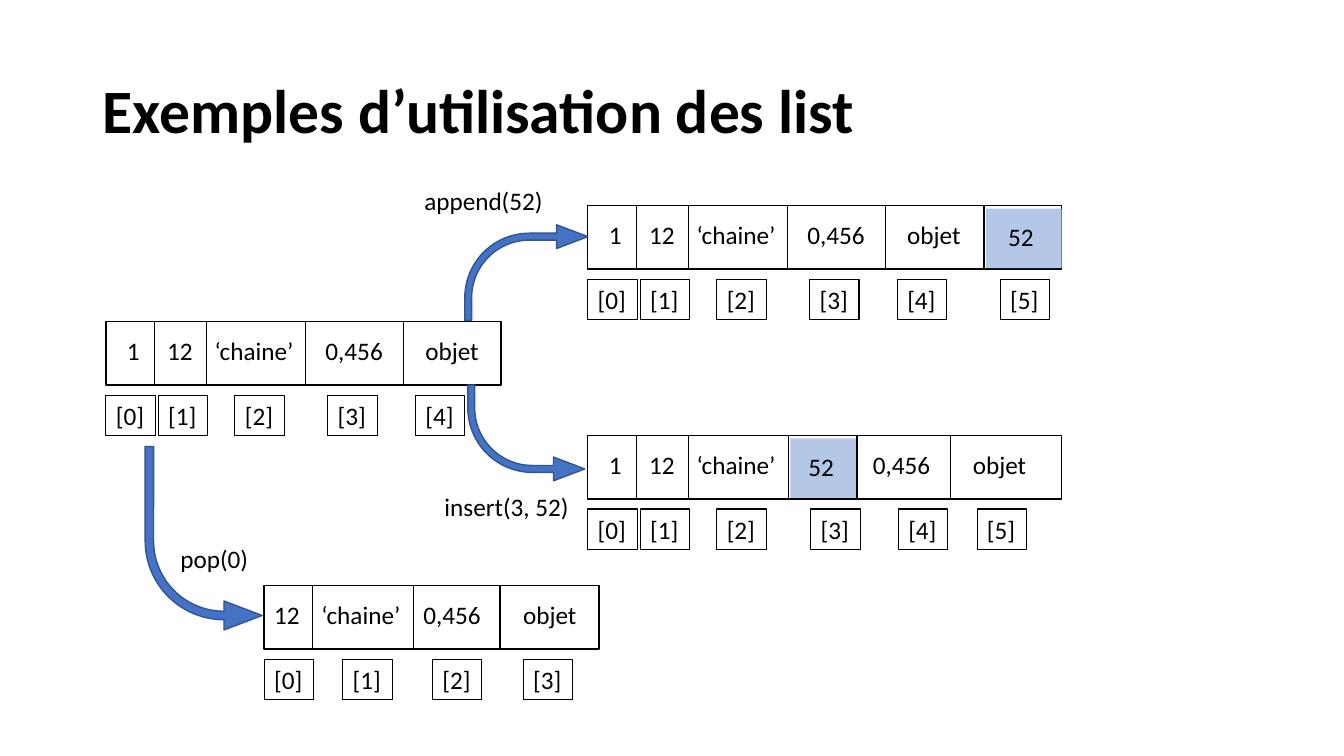
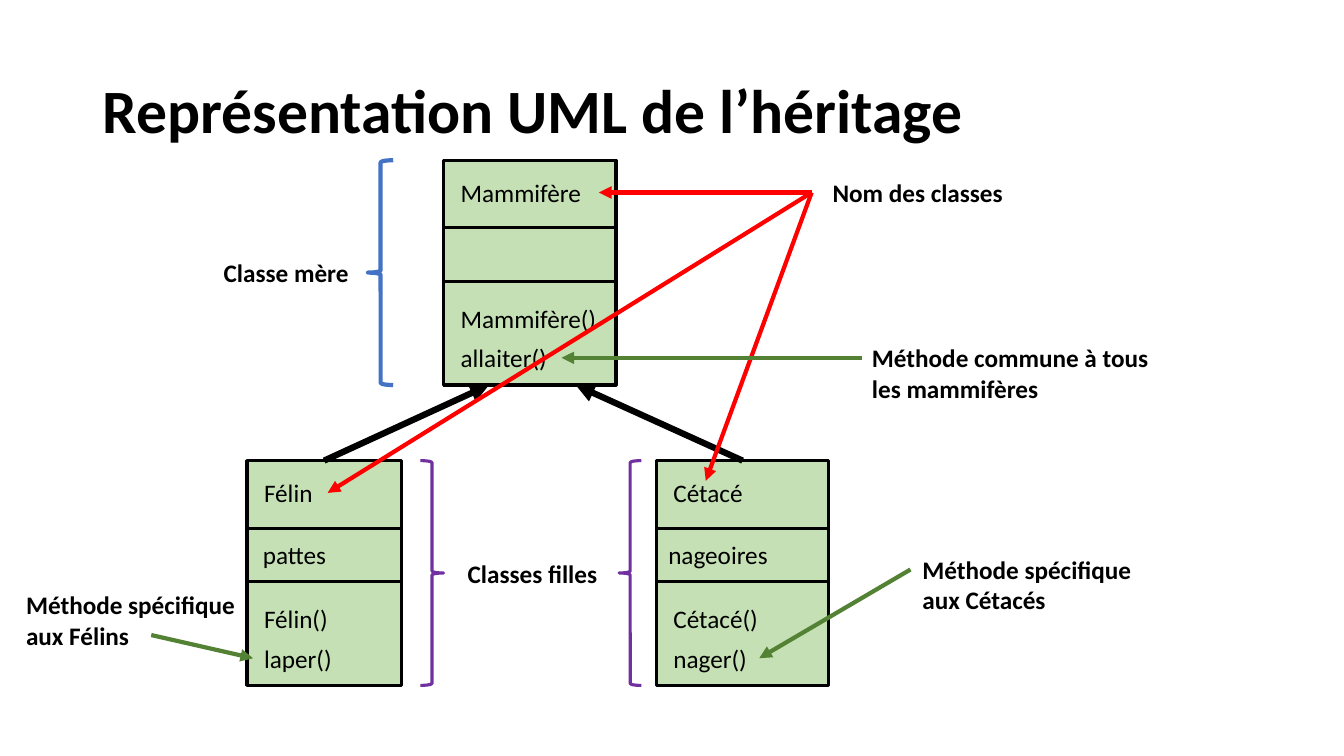
import pptx
import pptx.util
import pptx.dml.color
import pptx.enum.shapes
import pptx.enum.text
import pptx.oxml
import pptx.oxml.ns
import lxml.etree

Inches = pptx.util.Inches
Shapes = pptx.enum.shapes.MSO_SHAPE
FONT = "Calibri"
COLORS = {
    "black": "000000",
    "white": "FFFFFF",
    "blue": "4472C4",
    "dark_blue": "325491",
    "highlight": "B4C7E7",
    "class_fill": "C5E0B4",
    "green": "548235",
    "red": "FF0000",
    "purple": "7030A0",
}


def color(name):
    return pptx.dml.color.RGBColor.from_string(COLORS[name])


def write_text(frame, text, size=18, bold=False, wrap=True):
    frame.word_wrap = wrap
    paragraph = frame.paragraphs[0]
    paragraph.alignment = pptx.enum.text.PP_ALIGN.LEFT
    run = paragraph.add_run()
    run.text = text
    run.font.name = FONT
    run.font.size = pptx.util.Pt(size)
    run.font.bold = bold
    run.font.color.rgb = color("black")
    return paragraph


def add_label(slide, text, left, top, width, height=0.4, **text_format):
    box = slide.shapes.add_textbox(Inches(left), Inches(top), Inches(width), Inches(height))
    write_text(box.text_frame, text, **text_format)


def add_figure(slide, kind, left, top, width, height, fill=None, line=None, weight=1):
    shape = slide.shapes.add_shape(kind, Inches(left), Inches(top), Inches(width), Inches(height))
    shape.shadow.inherit = False
    if fill:
        shape.fill.solid()
        shape.fill.fore_color.rgb = color(fill)
    else:
        shape.fill.background()
    if line:
        shape.line.color.rgb = color(line)
        shape.line.width = pptx.util.Pt(weight)
    else:
        shape.line.fill.background()
    return shape


def add_line(slide, start, end, line="black", weight=1, arrow=False):
    connector = slide.shapes.add_connector(
        pptx.enum.shapes.MSO_CONNECTOR.STRAIGHT, *(Inches(value) for value in (*start, *end)))
    connector.line.color.rgb = color(line)
    connector.line.width = pptx.util.Pt(weight)
    properties = connector._element.spPr
    if arrow:
        outline = connector.line._get_or_add_ln()
        lxml.etree.SubElement(outline, pptx.oxml.ns.qn("a:tailEnd"), type="triangle")
    lxml.etree.SubElement(properties, pptx.oxml.ns.qn("a:effectLst"))
    return connector


def add_titled_slide(presentation, text):
    slide = presentation.slides.add_slide(presentation.slide_layouts[5])
    title = slide.shapes.title
    title.left, title.top = Inches(0.92), Inches(0.4)
    title.width, title.height = Inches(11.5), Inches(1.45)
    title.text_frame.vertical_anchor = pptx.enum.text.MSO_ANCHOR.MIDDLE
    title.text_frame.auto_size = pptx.enum.text.MSO_AUTO_SIZE.NONE
    paragraph = write_text(title.text_frame, text, size=44, bold=True)
    paragraph.line_spacing = 0.9
    return slide


LIST_HEIGHT = 0.63
TEXT_WIDTHS = {"1": 0.36, "12": 0.5, "52": 0.5, "‘chaine’": 1.01, "0,456": 0.87, "objet": 0.77}


def add_list(slide, left, top, width, cells, highlighted=None):
    add_figure(slide, Shapes.RECTANGLE, left, top, width, LIST_HEIGHT, "white", "black")
    ends = [cell[1] for cell in cells[1:]] + [width]
    for index, ((text, start, text_left, index_left), end) in enumerate(zip(cells, ends)):
        text_top = top + 0.09
        if index == highlighted:
            add_figure(slide, Shapes.RECTANGLE, left + start + 0.02, top + 0.03,
                       end - start - 0.02, LIST_HEIGHT - 0.04, "highlight")
            text_top += 0.02
        if index:
            add_line(slide, (left + start, top), (left + start, top + LIST_HEIGHT))
        add_label(slide, text, left + text_left, text_top, TEXT_WIDTHS[text])
        index_box = add_figure(slide, Shapes.RECTANGLE, left + index_left, top + 0.73,
                               0.49, 0.4, "white", "black", 0.75)
        write_text(index_box.text_frame, f"[{index}]", wrap=False)


def add_operation(slide, text, label_box, arrow_box, downward=False):
    arrow = add_figure(slide, Shapes.BENT_ARROW, *arrow_box, "blue", "dark_blue")
    for index, value in enumerate((0.072, 0.124, 0.326, 0.674)):
        arrow.adjustments[index] = value
    if downward:
        arrow._element.spPr.get_or_add_xfrm().set("flipV", "1")
    add_label(slide, text, *label_box)


def build_list_slide(presentation):
    slide = add_titled_slide(presentation, "Exemples d’utilisation des list")
    beginning = [("1", 0, 0.11, 0), ("12", 0.48, 0.51, 0.52), ("‘chaine’", 1, 0.98, 1.28)]
    initial = beginning + [("0,456", 1.98, 2.08, 2.2), ("objet", 2.95, 3.07, 3.07)]
    appended = initial + [("52", 3.93, 4.07, 4.09)]
    inserted = beginning + [("52", 1.99, 2.09, 2.21), ("0,456", 2.67, 2.73, 3.08),
                            ("objet", 3.6, 3.72, 3.86)]
    popped = [("12", 0, 0, 0), ("‘chaine’", 0.48, 0.47, 0.78),
              ("0,456", 1.48, 1.48, 1.67), ("objet", 2.34, 2.47, 2.57)]
    add_list(slide, 1.05, 3.19, 3.92, initial)
    add_list(slide, 5.83, 2.04, 4.7, appended, highlighted=5)
    add_list(slide, 5.83, 4.32, 4.7, inserted, highlighted=3)
    add_list(slide, 2.62, 5.81, 3.32, popped)
    add_operation(slide, "append(52)", (4.11, 1.79, 1.54), (4.61, 2.23, 1.22, 0.95))
    add_operation(slide, "insert(3, 52)", (4.31, 4.83, 1.54), (4.64, 3.82, 1.16, 0.95), True)
    add_operation(slide, "pop(0)", (1.69, 5.34, 0.92), (1.44, 4.43, 1.16, 1.82), True)


CLASS_HEIGHT = 2.23


def add_class(slide, left, top, width, name, method, attribute=None, attribute_left=0.06):
    box = add_figure(slide, Shapes.RECTANGLE, left, top, width, CLASS_HEIGHT,
                     "class_fill", "black", 2.25)
    for offset in (0.67, 1.2):
        add_line(slide, (left, top + offset), (left + width, top + offset), weight=2.25)
    for text, offset in ((name, 0.12), (f"{name}()", 1.37), (method, 1.76)):
        add_label(slide, text, left + 0.07, top + offset, 1.58)
    if attribute:
        add_label(slide, attribute, left + attribute_left, top + 0.73, 1.5)
    return box


def build_inheritance_slide(presentation):
    slide = add_titled_slide(presentation, "Représentation UML de l’héritage")
    add_class(slide, 4.4, 1.59, 1.71, "Mammifère", "allaiter()")
    feline = add_class(slide, 2.45, 4.57, 1.53, "Félin", "laper()", "pattes")
    cetacean = add_class(slide, 6.51, 4.57, 1.71, "Cétacé", "nager()", "nageoires", 0.02)

    for child, start, end in ((feline, (3.21, 4.57), (4.85, 3.82)),
                              (cetacean, (7.37, 4.57), (5.71, 3.82))):
        inheritance = add_line(slide, start, end, weight=4.5, arrow=True)
        inheritance.begin_connect(child, 0)

    for class_name_point in ((5.94, 1.91), (3.25, 4.89), (7, 4.77)):
        add_line(slide, (8.05, 1.91), class_name_point, "red", 3, True)
    for start, end in (((8.55, 3.55), (5.57, 3.55)),
                       ((1.5, 6.3), (2.51, 6.53)),
                       ((9.03, 5.65), (7.53, 6.53))):
        add_line(slide, start, end, "green", 3, True)

    for kind, left, top, width, line, weight in (
            (Shapes.LEFT_BRACE, 3.65, 1.59, 0.25, "blue", 3),
            (Shapes.LEFT_BRACE, 6.14, 4.57, 0.22, "purple", 2.25),
            (Shapes.RIGHT_BRACE, 4.17, 4.57, 0.23, "purple", 2.25)):
        add_figure(slide, kind, left, top, width, CLASS_HEIGHT, line=line, weight=weight)

    for text, *box in (
            ("Nom des classes", 8.16, 1.71, 2.26),
            ("Classe mère", 2.12, 2.5, 1.53),
            ("Classes filles", 4.54, 5.49, 1.53),
            ("Méthode commune à tous les mammifères", 8.55, 3.35, 3.26, 0.71),
            ("Méthode spécifique aux Cétacés", 9.05, 5.45, 2.4, 0.71),
            ("Méthode spécifique aux Félins", 0.16, 5.8, 2.35, 0.71)):
        add_label(slide, text, *box, bold=True)


def main():
    presentation = pptx.Presentation()
    presentation.slide_width = Inches(13.33)
    presentation.slide_height = Inches(7.5)
    build_list_slide(presentation)
    build_inheritance_slide(presentation)
    presentation.save("out.pptx")


if __name__ == "__main__":
    main()
